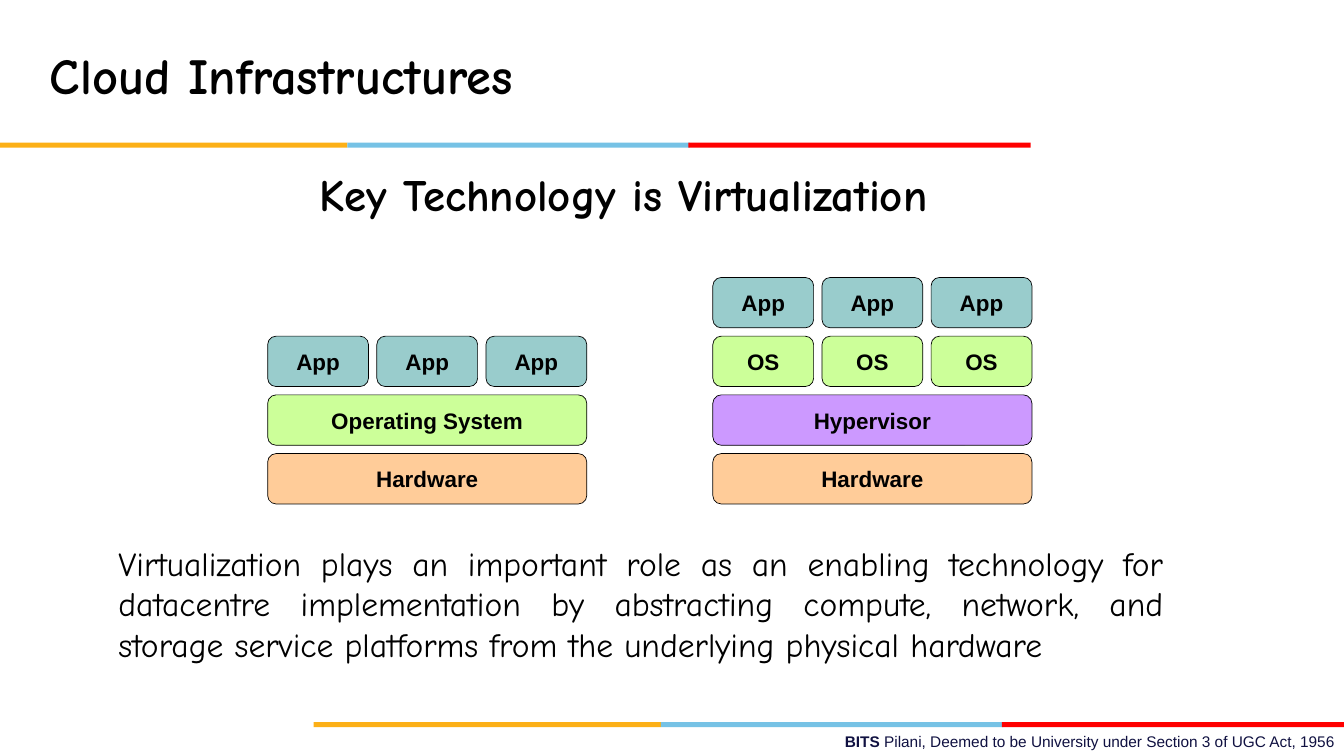
from dataclasses import dataclass

from pptx import Presentation
from pptx.dml.color import RGBColor
from pptx.enum.shapes import MSO_SHAPE
from pptx.enum.text import MSO_ANCHOR, PP_ALIGN
from pptx.util import Emu, Pt

PX = 914400 // 200  # 200 px to the inch


@dataclass(frozen=True)
class Theme:
    ink: str = "000000"
    navy: str = "101141"
    amber: str = "FCB017"
    sky: str = "76C2E5"
    red: str = "FF0000"
    hardware: str = "FFCC99"
    system: str = "CCFF99"
    hypervisor: str = "CC99FF"
    app: str = "99CCCC"
    heading_font: str = "Comic Neue"
    label_font: str = "Arial"
    title_size: int = 72
    subtitle_size: int = 64
    body_size: int = 48
    label_size: int = 32
    footer_size: int = 22


class SlideBuilder:
    LAYER_WIDTH = 1266
    BLOCK_HEIGHT = 200
    BLOCK_GAP = 33

    def __init__(self, slide, theme):
        self.shapes = slide.shapes
        self.theme = theme

    def style(self, paragraph, font, size, color, bold, align):
        paragraph.alignment = align
        paragraph.font.name = font
        paragraph.font.size = Pt(size)
        paragraph.font.color.rgb = RGBColor.from_string(color)
        if bold is not None:
            paragraph.font.bold = bold

    def text(self, box, runs, font, size, color=None, bold=None,
             align=PP_ALIGN.LEFT, anchor=MSO_ANCHOR.TOP):
        """Add a one-paragraph text box; runs are (words, bold) pairs, bold None to inherit."""
        frame = self.shapes.add_textbox(*(Emu(v * PX) for v in box)).text_frame
        frame.word_wrap = True
        frame.vertical_anchor = anchor
        frame.margin_left = frame.margin_right = Emu(20 * PX)
        frame.margin_top = frame.margin_bottom = Emu(20 * PX)
        paragraph = frame.paragraphs[0]
        for words, run_bold in runs:
            run = paragraph.add_run()
            run.text = words
            if run_bold is not None:
                run.font.bold = run_bold
        self.style(paragraph, font, size, color or self.theme.ink, bold, align)
        return paragraph

    def shape(self, kind, box, fill):
        shape = self.shapes.add_shape(kind, *(Emu(v * PX) for v in box))
        shape.shadow.inherit = False
        shape.fill.solid()
        shape.fill.fore_color.rgb = RGBColor.from_string(fill)
        return shape

    def stripe(self, left, top):
        """Draw the three-colour rule."""
        theme = self.theme
        for offset, width, color in ((0, 1378, theme.amber),
                                     (1378, 1358, theme.sky),
                                     (2731, 1358, theme.red)):
            box = (left + offset, top, width, 20)
            self.shape(MSO_SHAPE.RECTANGLE, box, color).line.fill.background()

    def block(self, box, label, fill):
        block = self.shape(MSO_SHAPE.ROUNDED_RECTANGLE, box, fill)
        block.line.color.rgb = RGBColor.from_string(self.theme.ink)
        block.line.width = Pt(1)
        frame = block.text_frame
        frame.vertical_anchor = MSO_ANCHOR.MIDDLE
        paragraph = frame.paragraphs[0]
        paragraph.text = label
        self.style(paragraph, self.theme.label_font, self.theme.label_size,
                   self.theme.ink, True, PP_ALIGN.CENTER)

    def stack(self, left, base_top, layers):
        """Pile layers of (label, fill, count) upwards from the hardware."""
        for level, (label, fill, count) in enumerate(layers):
            top = base_top - level * (self.BLOCK_HEIGHT + self.BLOCK_GAP)
            width = (self.LAYER_WIDTH - (count - 1) * self.BLOCK_GAP) // count
            for column in range(count):
                x = left + column * (width + self.BLOCK_GAP)
                self.block((x, top, width, self.BLOCK_HEIGHT), label, fill)


def main():
    theme = Theme()
    deck = Presentation()
    deck.slide_width, deck.slide_height = Emu(5332 * PX), Emu(3000 * PX)
    builder = SlideBuilder(deck.slides.add_slide(deck.slide_layouts[6]), theme)

    builder.stripe(0, 566)
    builder.stripe(1244, 2866)
    builder.text(
        (1932, 2886, 3382, 114),
        [("BITS ", True),
         ("Pilani, Deemed to be University under Section 3 of UGC Act, 1956", False)],
        theme.label_font, theme.footer_size, theme.navy, align=PP_ALIGN.RIGHT)

    builder.text((682, 640, 3582, 254), [("Key Technology is Virtualization", None)],
                 theme.heading_font, theme.subtitle_size, bold=True,
                 align=PP_ALIGN.CENTER)
    title = builder.text((178, 66, 3688, 500), [("Cloud Infrastructures", None)],
                         theme.heading_font, theme.title_size, bold=True,
                         anchor=MSO_ANCHOR.MIDDLE)
    title.line_spacing = Pt(72)

    hardware = ("Hardware", theme.hardware, 1)
    apps = ("App", theme.app, 3)
    builder.stack(1062, 1800, [
        hardware, ("Operating System", theme.system, 1), apps])
    builder.stack(2828, 1800, [
        hardware, ("Hypervisor", theme.hypervisor, 1), ("OS", theme.system, 3), apps])

    builder.text(
        (450, 2134, 4186, 520),
        [("Virtualization plays an important role as an enabling technology for "
          "datacentre implementation by abstracting compute, network, and storage "
          "service platforms from the underlying physical hardware", None)],
        theme.heading_font, theme.body_size, align=PP_ALIGN.JUSTIFY)

    deck.save("out.pptx")


if __name__ == "__main__":
    main()
